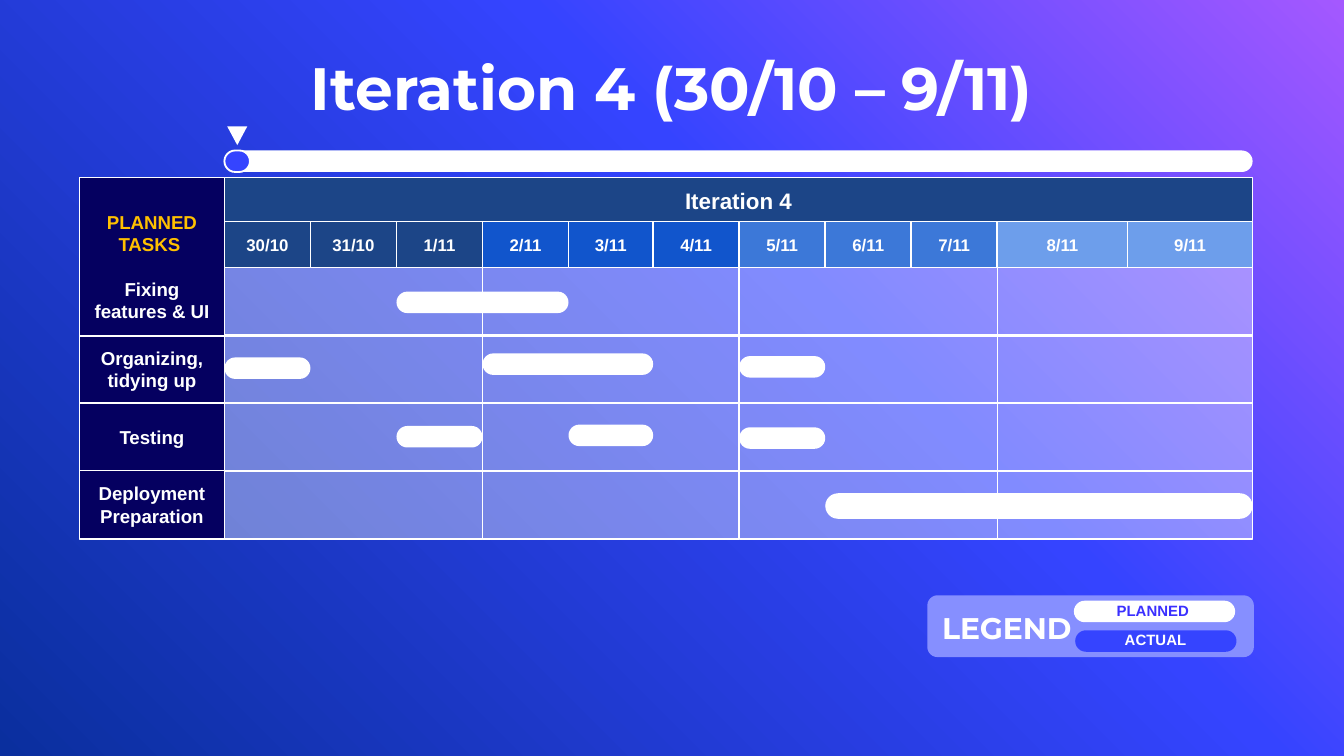
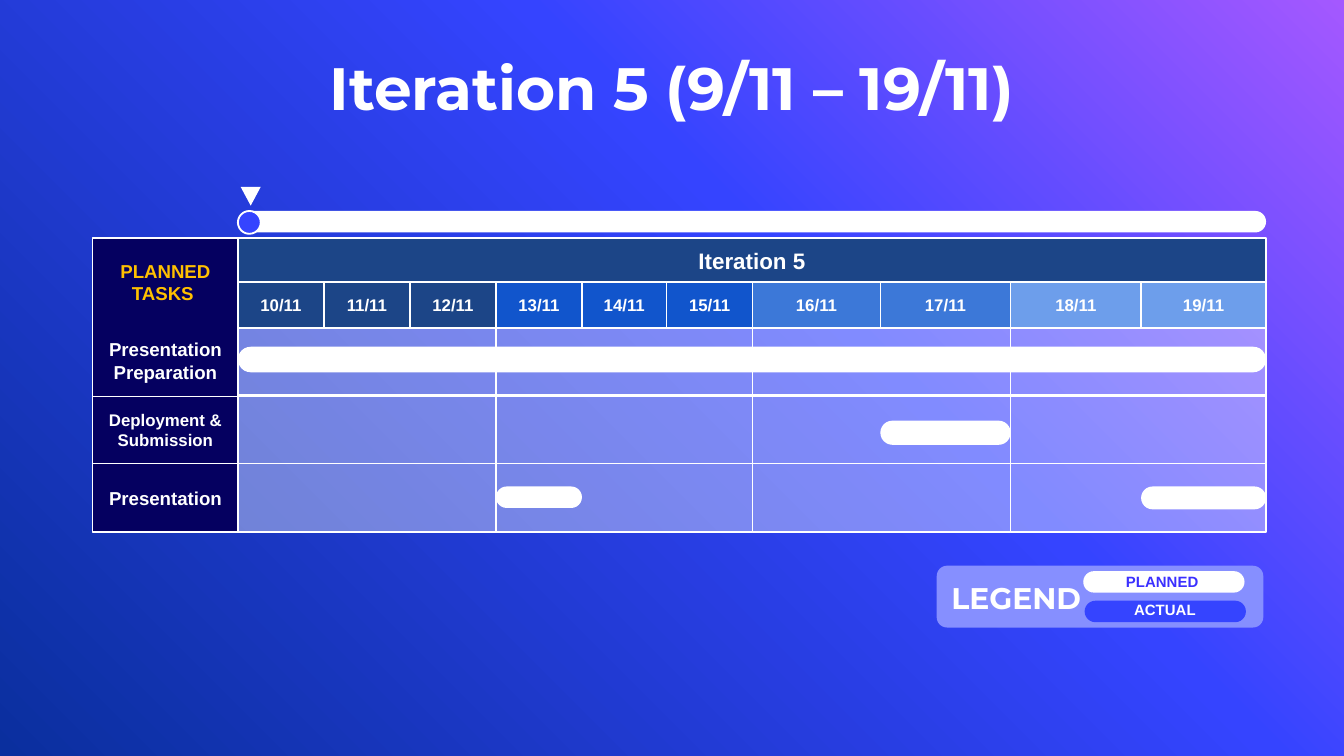
from copy import deepcopy
from itertools import accumulate

from pptx import Presentation
from pptx.dml.color import RGBColor
from pptx.enum.shapes import MSO_SHAPE
from pptx.enum.text import MSO_ANCHOR, PP_ALIGN
from pptx.oxml import parse_xml
from pptx.oxml.ns import nsdecls, qn
from pptx.util import Emu, Pt

RECT, ROUNDED = MSO_SHAPE.RECTANGLE, MSO_SHAPE.ROUNDED_RECTANGLE
PILL, TRIANGLE = MSO_SHAPE.ROUND_2_SAME_RECTANGLE, MSO_SHAPE.ISOSCELES_TRIANGLE
TOP, MIDDLE, BOTTOM = MSO_ANCHOR.TOP, MSO_ANCHOR.MIDDLE, MSO_ANCHOR.BOTTOM
LEFT, CENTER = PP_ALIGN.LEFT, PP_ALIGN.CENTER

EMU_PER_PX = 9144  # 100 px to the inch
WHITE, GOLD, NAVY, BLUE = "FFFFFF", "FFC000", "050060", "3544FF"
LEGEND_FILL, LEGEND_TEXT = "868FFF", "3B30FF"
GROUP_FILLS = ["1C4587", "1155CC", "3C78D8", "6D9EEB"]
BACKGROUND = [(0, "A458FF"), (0.39, BLUE), (1, "0A2F9E")]
BODY_FONT, TITLE_FONT = "Arial", "Montserrat"

# Measures of the board, in px
TASK_WIDTH, HEADER_HEIGHT, DAYS_TOP, ROWS_TOP, ROW_HEIGHT = 108, 34, 33, 67, 51

# Days are grouped as (label, width); bars are (row, first day, last day, drop, height)
ITERATIONS = [
    {
        "title": "Iteration 4 (30/10 – 9/11)",
        "name": "Iteration 4",
        "board": (59, 132),
        "legend": (690, 443),
        "marker": (19, 16),
        "gap": 12,
        "groups": [
            [("30/10", 64), ("31/10", 64), ("1/11", 64)],
            [("2/11", 64), ("3/11", 63), ("4/11", 64)],
            [("5/11", 64), ("6/11", 64), ("7/11", 64)],
            [("8/11", 97), ("9/11", 93)],
        ],
        "tasks": [
            (["Fixing features & UI"], 10),
            (["Organizing, tidying up"], 10),
            (["Testing"], 10),
            (["Deployment", "Preparation"], 10),
        ],
        "bars": [
            (3, "6/11", "9/11", 17, 19),
            (2, "3/11", "3/11", 16, 16),
            (1, "5/11", "5/11", 16, 16),
            (2, "5/11", "5/11", 18, 16),
            (0, "1/11", "2/11", 18, 16),
            (1, "2/11", "3/11", 14, 16),
            (2, "1/11", "1/11", 17, 16),
            (1, "30/10", "30/10", 17, 16),
        ],
    },
    {
        "title": "Iteration 5 (9/11 – 19/11)",
        "name": "Iteration 5",
        "board": (69, 177),
        "legend": (697, 421),
        "marker": (17, 17),
        "gap": 18,
        "groups": [
            [("10/11", 64), ("11/11", 64), ("12/11", 64)],
            [("13/11", 64), ("14/11", 63), ("15/11", 64)],
            [("16/11", 95), ("17/11", 97)],
            [("18/11", 97), ("19/11", 93)],
        ],
        "tasks": [
            (["Presentation Preparation"], 10),
            (["Deployment & Submission"], 9),
            (["Presentation"], 10),
        ],
        "bars": [
            (2, "13/11", "13/11", 17, 16),
            (2, "19/11", "19/11", 17, 17),
            (1, "17/11", "17/11", 19, 18),
            (0, "10/11", "19/11", 14, 19),
        ],
    },
]


def px(length):
    return Emu(length * EMU_PER_PX)


def rgb(value):
    return RGBColor.from_string(value)


def write(shape, lines, size, color=WHITE, font=BODY_FONT, align=CENTER, anchor=MIDDLE, insets=(10, 10)):
    """Put bold text into a shape, one paragraph a line."""
    frame = shape.text_frame
    across, down = map(px, insets)
    layout = {
        "word_wrap": True, "vertical_anchor": anchor,
        "margin_left": across, "margin_right": across,
        "margin_top": down, "margin_bottom": down,
    }
    for name, value in layout.items():
        setattr(frame, name, value)
    for index, line in enumerate(lines):
        para = frame.add_paragraph() if index else frame.paragraphs[0]
        para.alignment = align
        span = para.add_run()
        span.text = line
        for name, value in {"size": Pt(size), "bold": True, "name": font}.items():
            setattr(span.font, name, value)
        span.font.color.rgb = rgb(color)
    return frame


def add_block(page, kind, box, fill, line=None, alpha=None):
    shape = page.shapes.add_shape(kind, *map(px, box))
    shape.shadow.inherit = False
    shape.fill.solid()
    shape.fill.fore_color.rgb = rgb(fill)
    if alpha is not None:
        color = shape._element.spPr.find(qn("a:solidFill"))[0]
        color.append(parse_xml(f'<a:alpha {nsdecls("a")} val="{alpha * 1000}"/>'))
    if line:
        shape.line.color.rgb = rgb(WHITE)
        shape.line.width = Pt(line)
    else:
        shape.line.fill.background()
    return shape


def add_pill(page, box, fill=WHITE, line=None):
    """Draw an upright pill turned on its side, so that it fills the box."""
    shape = add_block(page, PILL, box, fill, line)
    shift = (shape.width - shape.height) // 2
    shape.left, shape.top = shape.left + shift, shape.top - shift
    shape.width, shape.height = shape.height, shape.width
    shape.rotation = 90
    for corner in range(2):
        shape.adjustments[corner] = 0.5


def add_label(page, box, text, size, **style):
    write(page.shapes.add_textbox(*map(px, box)), [text], size, **style)


def paint_background(page):
    fill = page.background.fill
    fill.gradient()
    fill.gradient_angle = 225
    stop_list = page._element.find(".//" + qn("a:gsLst"))
    stop_list.append(deepcopy(stop_list[-1]))
    for stop, (position, color) in zip(fill.gradient_stops, BACKGROUND):
        stop.position = position
        stop.color.rgb = rgb(color)


def row_top(row):
    return ROWS_TOP + row * 101 // 2


def add_progress(page, left, top, width, marker):
    """Draw the track with its marker and pointer above the board."""
    add_pill(page, (left, top - 20, width, 16))
    pointer = add_block(page, TRIANGLE, (left + 2, top - 38, 15, 14), WHITE)
    pointer.rotation = 180
    add_pill(page, (left, top - 20, *marker), BLUE, 1)


def add_board(page, data):
    left, top = data["board"]
    days_left = left + TASK_WIDTH
    groups, tasks = data["groups"], data["tasks"]
    group_widths = [sum(width for _, width in group) for group in groups]
    group_lefts = list(accumulate(group_widths[:-1], initial=days_left))

    # Translucent grid, one cell per task and group of days
    for row in range(len(tasks)):
        for x, width in zip(group_lefts, group_widths):
            add_block(page, RECT, (x, top + row_top(row), width, ROW_HEIGHT), WHITE, 0.75, alpha=38)

    # Header over all days
    total = sum(group_widths)
    header = add_block(page, RECT, (days_left, top, total, HEADER_HEIGHT), GROUP_FILLS[0], 0.75)
    write(header, [data["name"]], 12)

    # Task column; the first task shares its cell with the heading
    for row, (lines, size) in enumerate(tasks[1:], 1):
        cell = add_block(page, RECT, (left, top + row_top(row), TASK_WIDTH, ROW_HEIGHT), NAVY, 0.75)
        write(cell, lines, size)
    corner = add_block(page, RECT, (left, top, TASK_WIDTH, ROWS_TOP + ROW_HEIGHT), NAVY, 0.75)
    first_lines, first_size = tasks[0]
    heading = write(corner, ["PLANNED TASKS ", *first_lines], first_size, anchor=BOTTOM).paragraphs[0]
    heading.runs[0].font.color.rgb = rgb(GOLD)
    heading.space_after = Pt(data["gap"])

    add_progress(page, days_left, top, total, data["marker"])

    # Day cells
    edges = {}
    x = days_left
    for group, fill in zip(groups, GROUP_FILLS):
        for day, width in group:
            cell = add_block(page, RECT, (x, top + DAYS_TOP, width, HEADER_HEIGHT), fill, 0.75)
            write(cell, [day], 9)
            edges[day] = (x, x + width)
            x += width

    # Planned bars
    for row, first, last, drop, height in data["bars"]:
        start, end = edges[first][0], edges[last][1]
        add_pill(page, (start, top + row_top(row) + drop, end - start, height))


def add_legend(page, left, top):
    add_block(page, ROUNDED, (left, top, 243, 46), LEGEND_FILL)
    add_pill(page, (left + 109, top + 4, 120, 16))
    add_pill(page, (left + 110, top + 26, 120, 16), BLUE)
    add_label(page, (left + 11, top - 6, 134, 43), "LEGEND", 16,
              font=TITLE_FONT, align=LEFT, anchor=BOTTOM, insets=(0, 0))
    key = {"align": LEFT, "anchor": TOP, "insets": (10, 5)}
    add_label(page, (left + 131, top, 84, 24), "PLANNED", 8, color=LEGEND_TEXT, **key)
    add_label(page, (left + 137, top + 21, 69, 24), "ACTUAL", 8, **key)


def add_iteration(deck, data):
    page = deck.slides.add_slide(deck.slide_layouts[6])
    paint_background(page)
    add_label(page, (0, 21, 1000, 70), data["title"], 32, font=TITLE_FONT, anchor=BOTTOM, insets=(0, 0))
    add_board(page, data)
    add_legend(page, *data["legend"])


def main():
    deck = Presentation()
    deck.slide_width = px(1000)
    deck.slide_height = deck.slide_width * 9 // 16
    for data in ITERATIONS:
        add_iteration(deck, data)
    deck.save("out.pptx")


if __name__ == "__main__":
    main()
